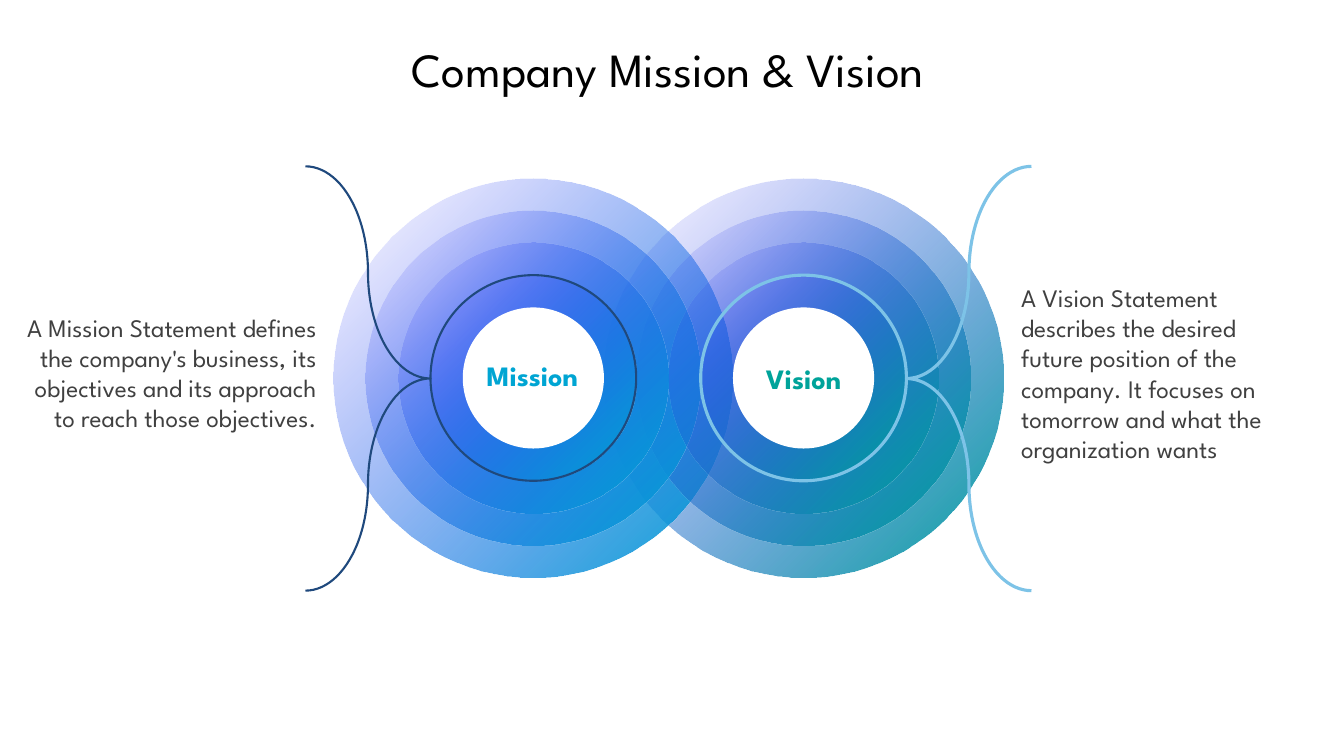
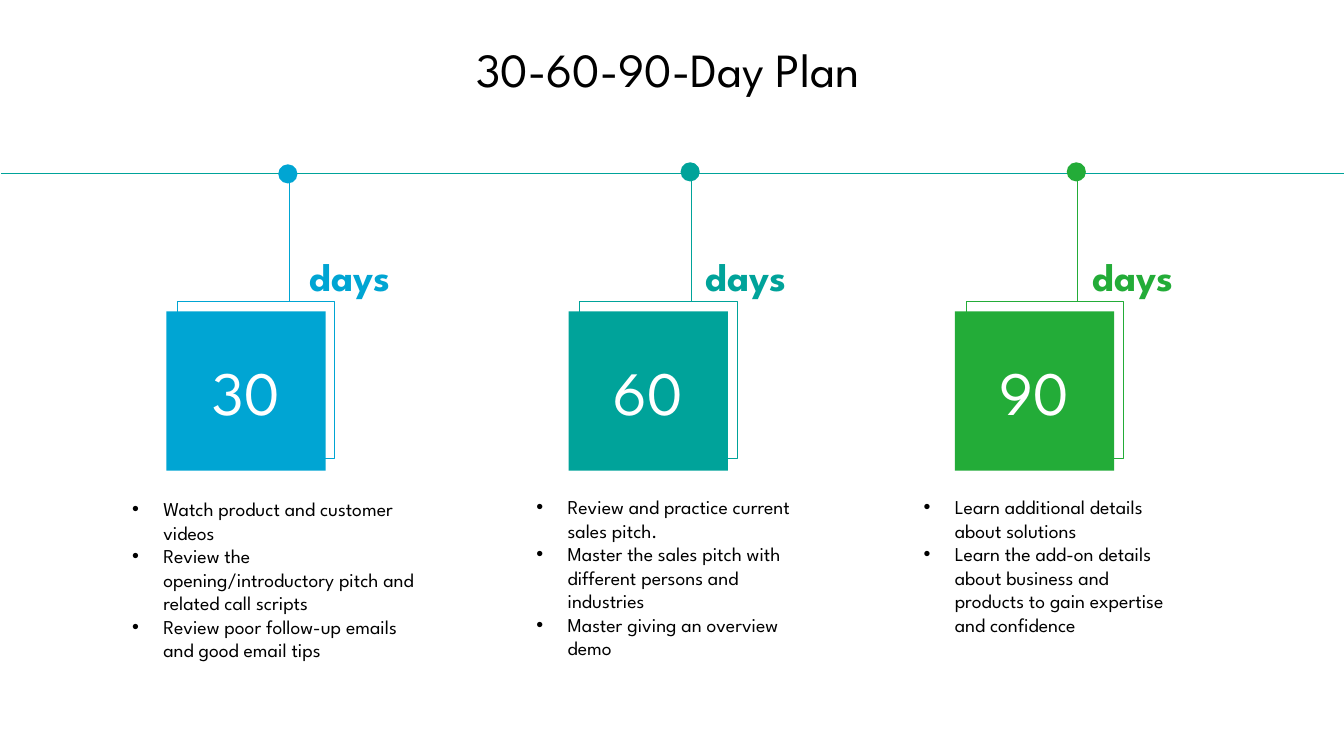
from pptx import Presentation
from pptx.dml.color import RGBColor
from pptx.enum.shapes import MSO_CONNECTOR, MSO_SHAPE
from pptx.enum.text import MSO_ANCHOR as ANCHOR, MSO_AUTO_SIZE, PP_ALIGN as ALIGN
from pptx.oxml import parse_xml
from pptx.oxml.ns import nsdecls, qn
from pptx.util import Pt
from lxml.etree import SubElement

PX = 9144  # EMU; 100 px to the inch
FONT = "League Spartan"
BLACK = RGBColor(0x00, 0x00, 0x00)
WHITE = RGBColor(0xFF, 0xFF, 0xFF)
GREY = RGBColor(0x40, 0x40, 0x40)
BLUE = RGBColor(0x00, 0xA5, 0xD3)
TEAL = RGBColor(0x00, 0xA3, 0x9A)
GREEN = RGBColor(0x23, 0xAC, 0x38)
VIOLET = RGBColor(0x3D, 0x33, 0xFE)
NAVY = RGBColor(0x1F, 0x49, 0x7D)
SKY = RGBColor(0x7D, 0xC3, 0xE7)

TITLE_ONLY, COMPARISON = 5, 4
CIRCLE, SQUARE, BRACE = MSO_SHAPE.OVAL, MSO_SHAPE.RECTANGLE, MSO_SHAPE.RIGHT_BRACE


class Deck:
    def __init__(self):
        self.prs = Presentation()
        self.prs.slide_width, self.prs.slide_height = 1333 * PX, 750 * PX
        self.s = None

    def slide(self, layout, title):
        self.s = self.prs.slides.add_slide(self.prs.slide_layouts[layout])
        sp = self.s.shapes.title
        self.place(sp, 184, 35, 957, 67)
        self.set_text(sp, [title], 34, BLACK, ALIGN.CENTER)

    def place(self, sp, x, y, w, h):
        sp.left, sp.top, sp.width, sp.height = (v * PX for v in (x, y, w, h))

    def set_text(self, sp, lines, size, color, align=ALIGN.LEFT, bold=False,
                 anchor=ANCHOR.TOP, inset=(10, 5), spacing=None):
        tf = sp.text_frame
        tf.word_wrap = True
        tf.auto_size = MSO_AUTO_SIZE.NONE
        tf.vertical_anchor = anchor
        tf.margin_left = tf.margin_right = inset[0] * PX
        tf.margin_top = tf.margin_bottom = inset[1] * PX
        tf.text = "\n".join(lines)
        for p in tf.paragraphs:
            p.alignment = align
            p.space_before = Pt(0)
            if spacing:
                p.line_spacing = spacing
            for r in p.runs:
                r.font.name, r.font.size, r.font.bold = FONT, Pt(size), bold
                r.font.color.rgb = color

    def text(self, x, y, w, h, text, size, color, **style):
        sp = self.s.shapes.add_textbox(x * PX, y * PX, w * PX, h * PX)
        self.set_text(sp, [text], size, color, **style)

    def bullets(self, sp, x, y, w, h, lines):
        self.place(sp, x, y, w, h)
        self.set_text(sp, lines, 14, BLACK)
        for p in sp.text_frame.paragraphs:
            pPr = p._p.get_or_add_pPr()
            pPr.set("marL", str(31 * PX))
            pPr.set("indent", str(-31 * PX))
            SubElement(pPr, qn("a:buFont")).set("typeface", "Arial")
            SubElement(pPr, qn("a:buChar")).set("char", "•")

    def shape(self, kind, x, y, w, h, fill=None, line=None, width=0.5):
        sp = self.s.shapes.add_shape(kind, x * PX, y * PX, w * PX, h * PX)
        sp.shadow.inherit = False
        if fill is None:
            sp.fill.background()
        else:
            sp.fill.solid()
            sp.fill.fore_color.rgb = fill
        if line is None:
            sp.line.fill.background()
        else:
            sp.line.color.rgb = line
            sp.line.width = Pt(width)
        return sp

    def glow(self, sp, color):
        """Fade radially from color at the lower right to clear violet."""
        sp.fill.gradient()
        near, far = sp.fill.gradient_stops
        near.position, far.position = 0, 1
        near.color.rgb, far.color.rgb = color, VIOLET
        grad = sp._element.spPr.find(qn("a:gradFill"))
        clear = grad.findall(".//" + qn("a:srgbClr"))[1]
        SubElement(clear, qn("a:alpha")).set("val", "0")
        grad.replace(grad.find(qn("a:lin")), parse_xml(
            f'<a:path {nsdecls("a")} path="circle">'
            '<a:fillToRect l="100000" t="100000"/></a:path>'))

    def line(self, x1, y1, x2, y2, color):
        c = self.s.shapes.add_connector(
            MSO_CONNECTOR.STRAIGHT, x1 * PX, y1 * PX, x2 * PX, y2 * PX)
        c.line.color.rgb = color
        c.line.width = Pt(0.5)
        SubElement(c._element.spPr, qn("a:effectLst"))


def mission_vision(d):
    d.slide(TITLE_ONLY, "Company Mission & Vision")
    # centre x, glow, outline, outline width, label, label x and y, brace x, turn
    circles = [
        (797, TEAL, SKY, 2.25, "Vision", 715, 363, 899, 180),
        (529, BLUE, NAVY, 1.5, "Mission", 446, 360, 303, 0),
    ]
    *rings, hole = range(396, 139, -64)
    for size in rings:
        for cx, color, outline, width, *_ in circles:
            edge = outline if size == rings[-1] else None
            sp = d.shape(CIRCLE, cx - size // 2, 375 - size // 2, size, size,
                         color, edge, width)
            d.glow(sp, color)
    for cx, color, outline, width, label, x, y, brace_x, turn in circles:
        d.shape(CIRCLE, cx - hole // 2, 375 - hole // 2, hole, hole, WHITE)
        d.text(x, y, 164, 29, label, 20, color, align=ALIGN.CENTER, bold=True,
               anchor=ANCHOR.MIDDLE, inset=(0, 0), spacing=0.85)
        brace = d.shape(BRACE, brace_x, 165, 124, 421, None, outline, width)
        brace.adjustments[0], brace.adjustments[1] = 1.345, 0.5
        brace.rotation = turn
    d.text(22, 294, 292, 151,
           "A Mission Statement defines the company's business, its objectives "
           "and its approach to reach those objectives.",
           18, GREY, align=ALIGN.RIGHT, anchor=ANCHOR.MIDDLE, inset=(0, 0))
    d.text(1003, 275, 300, 192,
           "A Vision Statement describes the desired future position of the "
           "company. It focuses on tomorrow and what the organization wants",
           18, GREY)


def day_plan(d):
    d.slide(COMPARISON, "30-60-90-Day Plan")
    *bodies, spare = list(d.s.placeholders)[1:]
    spare._element.getparent().remove(spare._element)
    d.line(1333, 172, 1, 172, TEAL)
    # number, colour, square x, dot y, "days" x, list x, y and width, tasks
    stages = [
        ("30", BLUE, 165, 163, 297, 121, 488, 306, [
            "Watch product and customer videos",
            "Review the opening/introductory pitch and related call scripts",
            "Review poor follow-up emails and good email tips"]),
        ("60", TEAL, 564, 161, 690, 522, 486, 274, [
            "Review and practice current sales pitch.",
            "Master the sales pitch with different persons and industries",
            "Master giving an overview demo"]),
        ("90", GREEN, 947, 161, 1074, 906, 486, 265, [
            "Learn additional details about solutions",
            "Learn the add-on details about business and products to gain "
            "expertise and confidence"]),
    ]
    for body, stage in zip(bodies, stages):
        number, color, x, dot_y, days_x, list_x, list_y, list_w, tasks = stage
        d.line(x + 122, 299, x + 122, 179, color)
        d.shape(CIRCLE, x + 111, dot_y, 19, 19, color)
        d.shape(SQUARE, x + 11, 299, 156, 156, None, color)
        square = d.shape(SQUARE, x, 309, 158, 158, color)
        d.set_text(square, [number], 44, WHITE, ALIGN.CENTER, anchor=ANCHOR.MIDDLE)
        d.text(days_x, 245, 112, 57, "days", 28, color, bold=True)
        d.bullets(body, list_x, list_y, list_w, 175, tasks)


def main():
    d = Deck()
    mission_vision(d)
    day_plan(d)
    d.prs.save("out.pptx")


if __name__ == "__main__":
    main()
